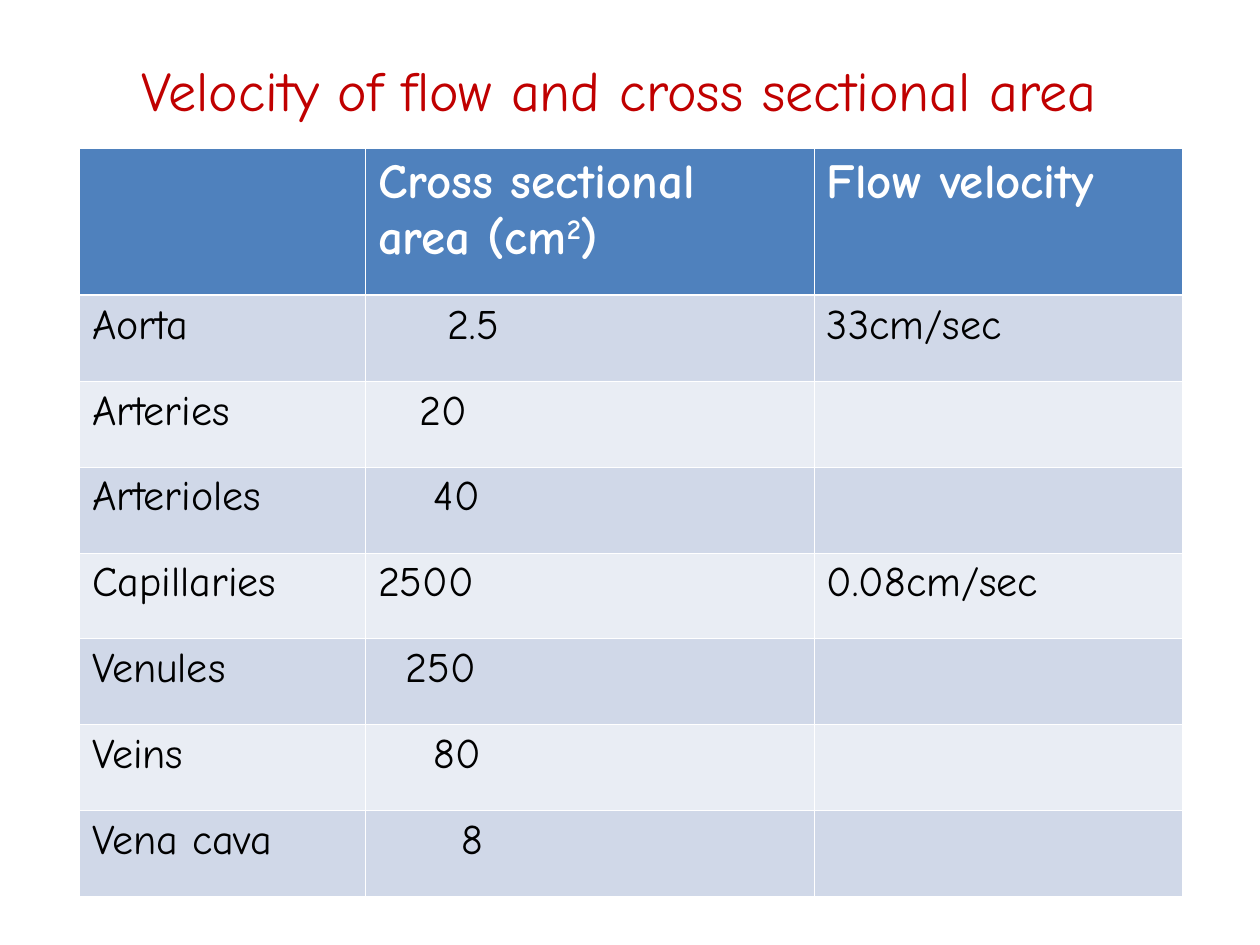
import dataclasses

import pptx
import pptx.dml.color
import pptx.enum.text
import pptx.oxml
import pptx.oxml.ns
import pptx.util

SCALE = 914400 / 126


@dataclasses.dataclass(frozen=True)
class Theme:
    font: str = "Comic Neue"
    title: str = "C00000"
    head: str = "4F81BD"
    bands: tuple = ("D0D8E8", "E9EDF4")
    light: str = "FFFFFF"
    dark: str = "000000"
    title_size: int = 32
    head_size: int = 28
    body_size: int = 24
    thin: float = 0.45
    thick: float = 1.47


THEME = Theme()
COLS = (286, 449, 368)
HEAD_HIGH, ROW_HIGH = 147, 86
PAD, STEP = 13, 14
HEADS = ("", "Cross sectional area (cm^2^)", "Flow velocity")
# Vessel, area, indent steps of the area, flow velocity
ROWS = (
    ("Aorta", "2.5", 5, "33cm/sec"),
    ("Arteries", "20", 3, ""),
    ("Arterioles", "40", 4, ""),
    ("Capillaries", "2500", 0, "0.08cm/sec"),
    ("Venules", "250", 2, ""),
    ("Veins", "80", 4, ""),
    ("Vena cava", "8", 6, ""),
)


def px(count):
    return pptx.util.Emu(round(count * SCALE))


def rgb(code):
    return pptx.dml.color.RGBColor.from_string(code)


def write(para, text, size, color, bold=False):
    """Fill a paragraph; text between carets is raised."""
    for index, part in enumerate(text.split("^")):
        if part:
            run = para.add_run()
            run.text = part
            if index % 2:
                run._r.get_or_add_rPr().set("baseline", "30000")
    font = para.font
    font.name, font.size, font.bold = THEME.font, pptx.util.Pt(size), bold
    font.color.rgb = rgb(color)


def add_title(slide, text):
    box = slide.shapes.add_textbox(px(63), px(10), px(1134), px(158))
    frame = box.text_frame
    frame.word_wrap = True
    frame.margin_right = px(33)
    frame.vertical_anchor = pptx.enum.text.MSO_ANCHOR.MIDDLE
    para = frame.paragraphs[0]
    para.alignment = pptx.enum.text.PP_ALIGN.CENTER
    write(para, text, THEME.title_size, THEME.title)


def edge(cell, top, bottom):
    """Draw the cell borders, which must come before its fill in the XML."""
    sides = (("L", THEME.thin), ("R", THEME.thin), ("T", top), ("B", bottom))
    for index, (side, width) in enumerate(sides):
        line = pptx.oxml.parse_xml(
            f'<a:ln{side} {pptx.oxml.ns.nsdecls("a")} w="{pptx.util.Pt(width)}">'
            f'<a:solidFill><a:srgbClr val="{THEME.light}"/></a:solidFill>'
            f'</a:ln{side}>'
        )
        cell._tc.get_or_add_tcPr().insert(index, line)


def style(cell, fill, indent=0):
    cell.fill.solid()
    cell.fill.fore_color.rgb = rgb(fill)
    cell.margin_left = px(PAD + indent * STEP)
    cell.margin_right = px(PAD)


def add_grid(slide):
    high = HEAD_HIGH + ROW_HIGH * len(ROWS)
    frame = slide.shapes.add_table(
        len(ROWS) + 1, len(COLS), px(79), px(148), px(sum(COLS)), px(high)
    )
    table = frame.table
    for col, width in zip(table.columns, COLS):
        col.width = px(width)
    for index, row in enumerate(table.rows):
        row.height = px(ROW_HIGH if index else HEAD_HIGH)

    for cell, text in zip(table.rows[0].cells, HEADS):
        style(cell, THEME.head)
        edge(cell, THEME.thin, THEME.thick)
        write(cell.text_frame.paragraphs[0], text, THEME.head_size, THEME.light, True)

    for index, (name, area, indent, speed) in enumerate(ROWS):
        cells = table.rows[index + 1].cells
        for cell, text, steps in zip(cells, (name, area, speed), (0, indent, 0)):
            style(cell, THEME.bands[index % 2], steps)
            edge(cell, THEME.thin if index else THEME.thick, THEME.thin)
            write(cell.text_frame.paragraphs[0], text, THEME.body_size, THEME.dark)


def main():
    deck = pptx.Presentation()
    deck.slide_width, deck.slide_height = px(1260), px(945)
    slide = deck.slides.add_slide(deck.slide_layouts[6])
    add_grid(slide)
    add_title(slide, "Velocity of flow and cross sectional area")
    deck.save("out.pptx")


if __name__ == "__main__":
    main()
